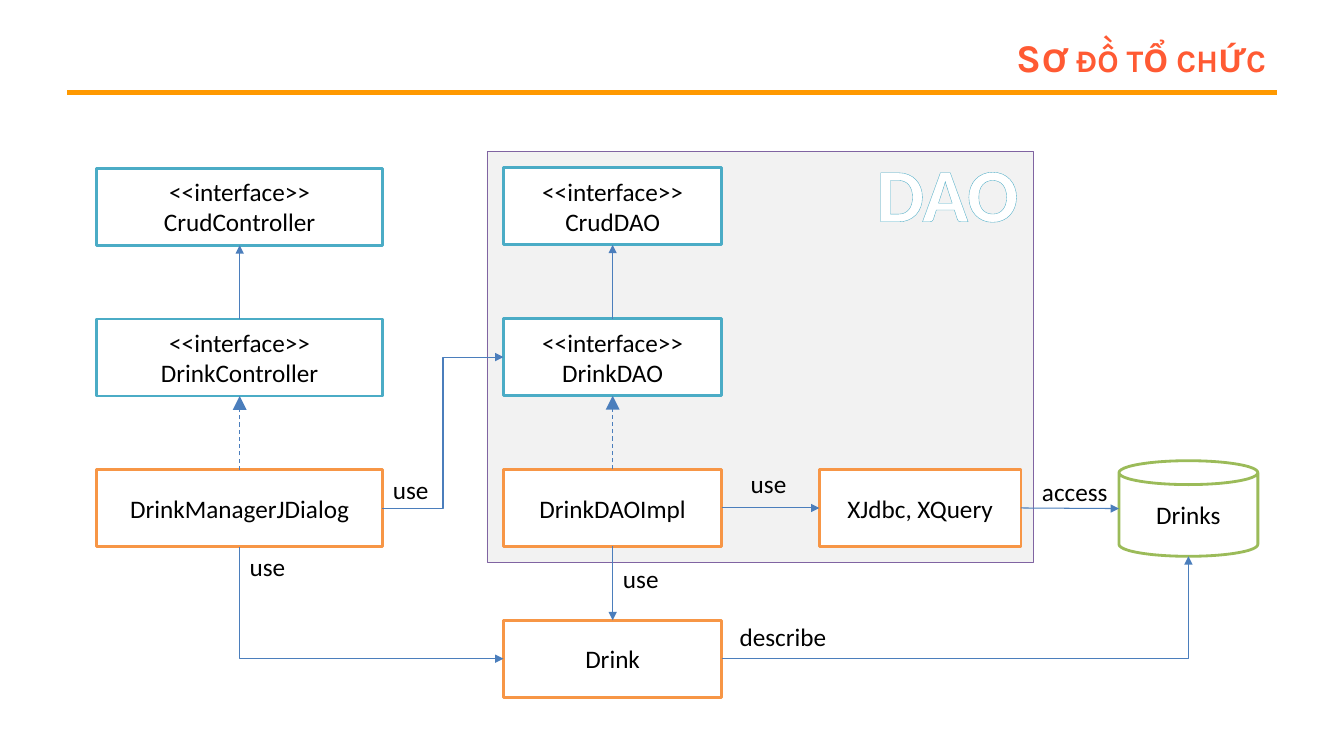
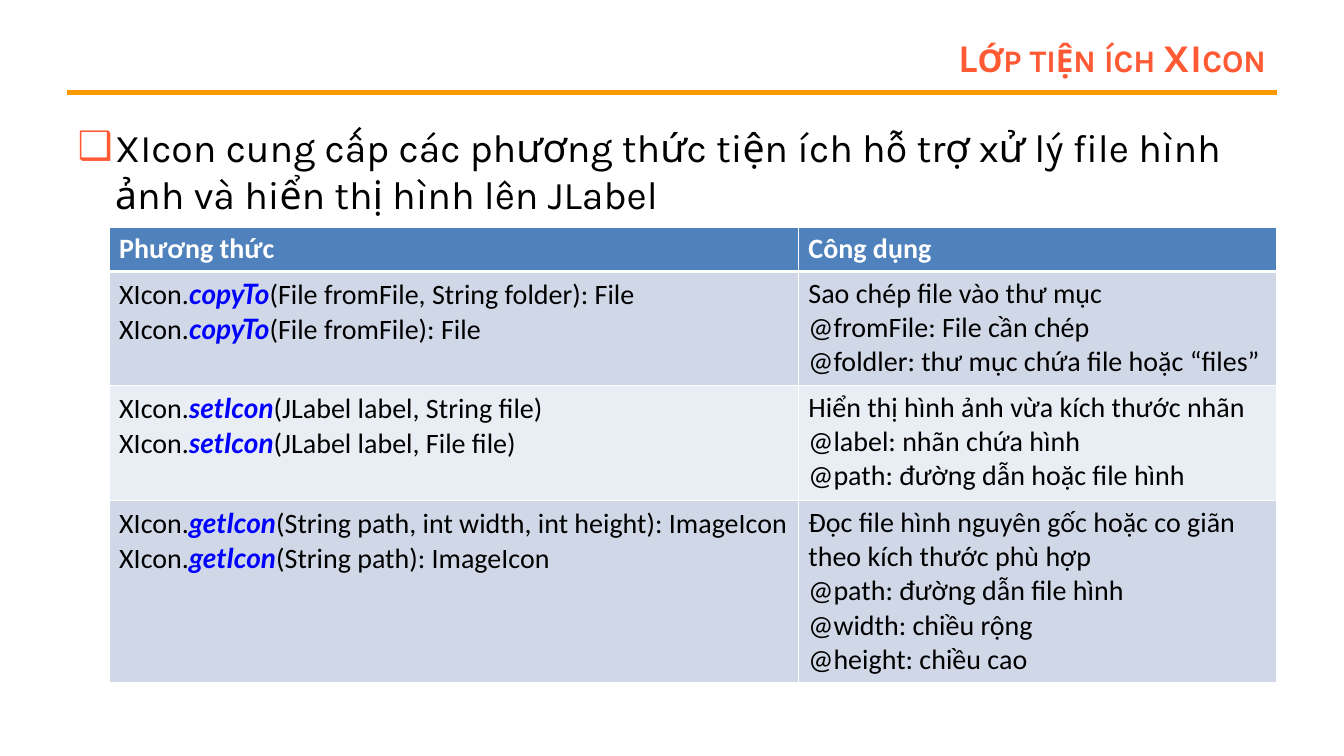
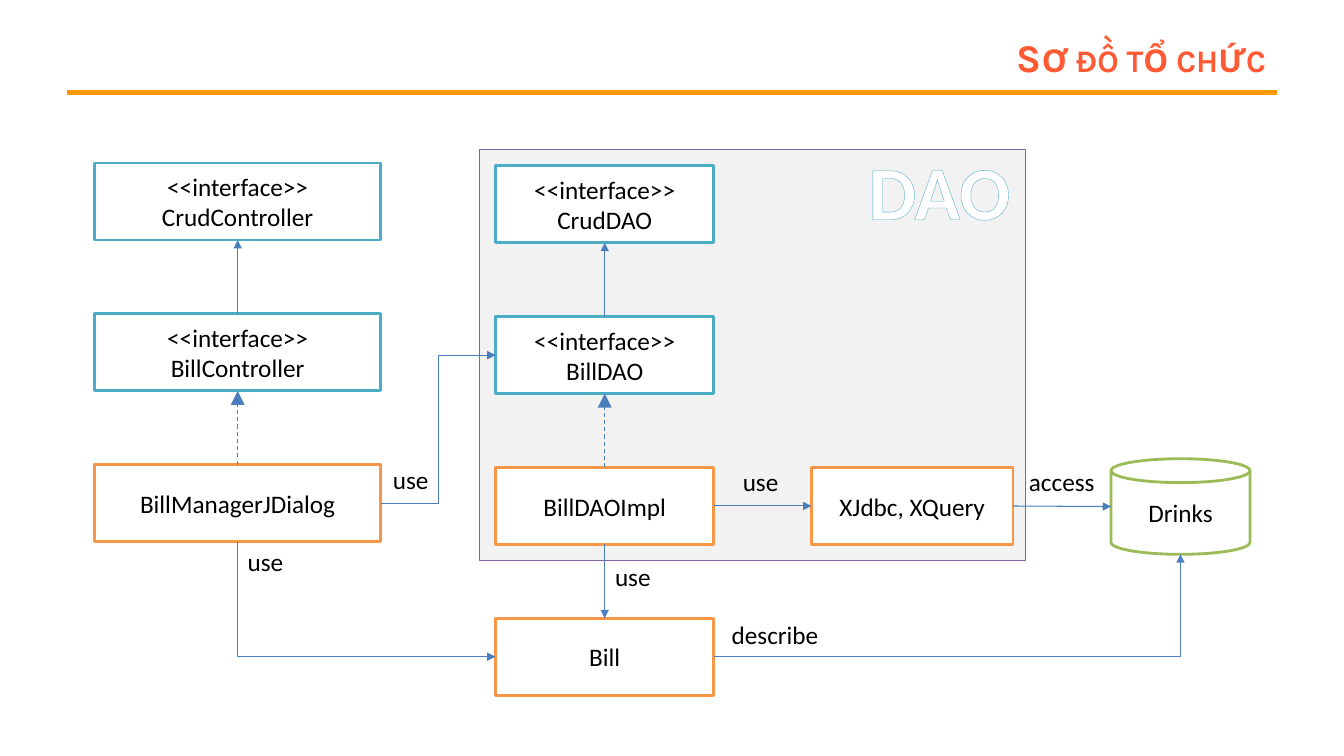
from lxml.etree import SubElement
from pptx import Presentation
from pptx.dml.color import RGBColor
from pptx.enum.dml import MSO_LINE
from pptx.enum.shapes import MSO_CONNECTOR, MSO_SHAPE
from pptx.enum.text import MSO_ANCHOR, MSO_AUTO_SIZE, PP_ALIGN
from pptx.oxml.ns import qn
from pptx.util import Cm, Pt

# Shared colours and text formats
ORANGE, TEAL, GREEN, BLUE = "F79646", "4BACC6", "9BBB59", "4B7EBC"
CORAL, GOLD, WHITE = "FF5A33", "FF9900", "FFFFFF"
TITLE = {"name": "Karla", "size": Pt(28), "bold": True, "color": CORAL}
BODY = {"name": "Karla", "size": Pt(28), "color": "000000"}
LABEL = {"name": "Calibri", "size": Pt(18), "color": "000000"}
BIG = {"name": "Calibri", "size": Pt(54), "bold": True, "color": WHITE}
HEADING = {"name": "Calibri", "size": Pt(20), "bold": True, "color": WHITE}
CELL = {"name": "Calibri", "size": Pt(20), "bold": False, "color": "000000"}
METHOD = {"name": "Lato", "size": Pt(20), "bold": True, "italic": True, "color": "0000FF"}

# Connection sites of a rectangle
TOP, LEFT, BOTTOM, RIGHT = range(4)

# Diagram grid, in centimetres
ROW_STEP, BOX_HEIGHT, INSET = 3.8, 1.94, 0.42
CONTROLLER_WIDTH, DAO_WIDTH, HELPER_WIDTH = 7.2, 5.5, 5.08


def rgb(value):
    return RGBColor.from_string(value)


def style(font, formats):
    for name, value in formats.items():
        if name == "color":
            font.color.rgb = rgb(value)
        else:
            setattr(font, name, value)


def write(frame, lines, formats, align=PP_ALIGN.LEFT):
    """Each line is a string or a list of (text, formats) spans."""
    for index, line in enumerate(lines):
        para = frame.add_paragraph() if index else frame.paragraphs[0]
        para.alignment = align
        for text, span_formats in [(line, formats)] if isinstance(line, str) else line:
            span = para.add_run()
            span.text = text
            style(span.font, span_formats)


def place(shape, left, top, width, height):
    values = {"left": left, "top": top, "width": width, "height": height}
    for name, value in values.items():
        setattr(shape, name, Cm(value))


def solid_line(parent, tag, color, points):
    line = SubElement(parent, qn(tag), w=str(Pt(points)))
    fill = SubElement(line, qn("a:solidFill"))
    SubElement(fill, qn("a:srgbClr"), val=color)
    return line


# Parts of a diagram
def add_box(page, left, top, width, height, color, lines=(), kind=MSO_SHAPE.RECTANGLE,
            fill=WHITE, points=2):
    box = page.shapes.add_shape(kind, Cm(left), Cm(top), Cm(width), Cm(height))
    box.shadow.inherit = False
    box.fill.solid()
    box.fill.fore_color.rgb = rgb(fill)
    box.line.color.rgb = rgb(color)
    box.line.width = Pt(points)
    box.text_frame.vertical_anchor = MSO_ANCHOR.MIDDLE
    write(box.text_frame, lines, LABEL, PP_ALIGN.CENTER)
    return box


def add_label(page, text, left, top, width=1.42, height=1.02, formats=LABEL):
    label = page.shapes.add_textbox(Cm(left), Cm(top), Cm(width), Cm(height))
    label.text_frame.word_wrap = False
    label.text_frame.auto_size = MSO_AUTO_SIZE.SHAPE_TO_FIT_TEXT
    write(label.text_frame, [text], formats)
    return label


def add_line(page, color, points, kind=MSO_CONNECTOR.STRAIGHT, ends=(0, 0, 0, 0)):
    line = page.shapes.add_connector(kind, *(Cm(value) for value in ends))
    line.line.color.rgb = rgb(color)
    line.line.width = Pt(points)
    SubElement(line.element.spPr, qn("a:effectLst"))
    return line


def join(page, start, start_site, end, end_site, bends=0, dashed=False, arrow="a:tailEnd"):
    kind = MSO_CONNECTOR.ELBOW if bends else MSO_CONNECTOR.STRAIGHT
    line = add_line(page, BLUE, 0.75, kind)
    line.begin_connect(start, start_site)
    line.end_connect(end, end_site)
    properties = line.element.spPr
    if bends == 1:
        properties.find(qn("a:prstGeom")).set("prst", "bentConnector2")
    if end.auto_shape_type == MSO_SHAPE.CAN:
        # A can has one extra site on its lid, so its numbers are one higher
        line.element.find(".//" + qn("a:endCxn")).set("idx", str(end_site + 1))
    if dashed:
        line.line.dash_style = MSO_LINE.DASH
    size = "lg" if dashed else "med"
    SubElement(properties.get_or_add_ln(), qn(arrow), type="triangle", w=size, len=size)


def add_stack(page, left, top, width, interfaces, worker):
    """Two interfaces over the class that implements them."""
    texts = [["<<interface>>", name] for name in interfaces] + [[worker]]
    boxes = [add_box(page, left, top + row * ROW_STEP, width, BOX_HEIGHT, color, lines)
             for row, (lines, color) in enumerate(zip(texts, (TEAL, TEAL, ORANGE)))]
    for row in (1, 2):
        join(page, boxes[row], TOP, boxes[row - 1], BOTTOM, dashed=row == 2)
    return boxes


def add_diagram(page, entity, controllers, dao, use_spot, access_spot):
    """controllers and dao are the corners of the two regions."""
    left, top = dao
    add_box(page, left, top, 13.77, 10.36, "8064A2", fill="F2F2F2", points=0.25)

    # Controllers and data access classes
    manager = add_stack(page, *controllers, CONTROLLER_WIDTH,
                        ["CrudController", f"{entity}Controller"], f"{entity}ManagerJDialog")[-1]
    inner_left, inner_top = left + INSET, top + INSET
    _, entity_dao, worker = add_stack(page, inner_left, inner_top, DAO_WIDTH,
                                      ["CrudDAO", f"{entity}DAO"], f"{entity}DAOImpl")

    # Entity, helpers and database
    model = add_box(page, inner_left, inner_top + 3 * ROW_STEP, DAO_WIDTH, BOX_HEIGHT,
                    ORANGE, [entity])
    helper = add_box(page, left + 8.38, inner_top + 2 * ROW_STEP, HELPER_WIDTH, BOX_HEIGHT,
                     ORANGE, ["XJdbc, XQuery"])
    database = add_box(page, left + 15.93, top + 7.8, 3.5, 2.41, GREEN, ["Drinks"],
                       MSO_SHAPE.CAN)

    # Relations
    join(page, worker, RIGHT, helper, LEFT)
    join(page, helper, RIGHT, database, LEFT)
    join(page, worker, BOTTOM, model, TOP)
    join(page, model, RIGHT, database, BOTTOM, bends=1)
    join(page, model, LEFT, manager, BOTTOM, bends=1, arrow="a:headEnd")
    join(page, manager, RIGHT, entity_dao, LEFT, bends=2)

    # Names of the relations
    for (x, y), spots in ((controllers, [use_spot, (3.6, 9.53)]),
                          (dao, [(3.18, 10.26), (6.4, 7.87)])):
        for across, down in spots:
            add_label(page, "use", x + across, y + down)
    add_label(page, "describe", left + 6.12, top + 11.73, 2.72)
    add_label(page, "access", left + access_spot[0], top + access_spot[1], 2.18)

    # Outlined region name
    name = add_label(page, "DAO", left + 9.55, top - 0.25, 4.11, 2.57, BIG)
    para = name.text_frame.paragraphs[0]
    para.alignment = PP_ALIGN.CENTER
    properties = para.runs[0]._r.get_or_add_rPr()
    properties.insert(0, solid_line(properties, "a:ln", TEAL, 0.8))


# Slide with the shared title and rule
def add_page(deck, title, layout=5):
    page = deck.slides.add_slide(deck.slide_layouts[layout])
    add_line(page, GOLD, 3, ends=(1.7, 2.33, 32.18, 2.33))
    heading = page.shapes.title
    place(heading, 6.2, 0.76, 25.96, 1.35)
    frame = heading.text_frame
    frame.auto_size = MSO_AUTO_SIZE.NONE
    frame.vertical_anchor = MSO_ANCHOR.MIDDLE
    write(frame, [title], TITLE, PP_ALIGN.RIGHT)
    frame.paragraphs[0].runs[0]._r.get_or_add_rPr().set("cap", "small")
    return page


def fill_body(body, text):
    place(body, 1.7, 2.97, 30.48, 14.6)
    body.text_frame.auto_size = MSO_AUTO_SIZE.NONE
    write(body.text_frame, [text], BODY)
    properties = body.text_frame.paragraphs[0]._p.get_or_add_pPr()
    properties.set("marL", str(Cm(0.95)))
    properties.set("indent", str(-Cm(0.95)))
    color = SubElement(properties, qn("a:buClr"))
    SubElement(color, qn("a:srgbClr"), val=CORAL)
    SubElement(properties, qn("a:buChar"), char="❑")


def add_method_table(page, left, top, widths, heights, rows):
    frame = page.shapes.add_table(len(rows), len(widths), Cm(left), Cm(top),
                                  Cm(sum(widths)), Cm(sum(heights)))
    table = frame.table
    for column, width in zip(table.columns, widths):
        column.width = Cm(width)
    for index, (row, height, texts) in enumerate(zip(table.rows, heights, rows)):
        row.height = Cm(height)
        fill = ("E9EDF4" if index % 2 == 0 else "D0D8E8") if index else "4F81BD"
        for cell, lines in zip(row.cells, texts):
            properties = cell._tc.get_or_add_tcPr()
            for side in "LRTB":
                heavy = (index, side) in ((0, "B"), (1, "T"))
                solid_line(properties, f"a:ln{side}", WHITE, 3 if heavy else 1)
            cell.fill.solid()
            cell.fill.fore_color.rgb = rgb(fill)
            write(cell.text_frame, lines, CELL if index else HEADING)


def signature(method, rest):
    return [("XIcon.", CELL), (method, METHOD), (rest, CELL)]


def main():
    deck = Presentation()
    deck.slide_width, deck.slide_height = Cm(33.87), Cm(19.05)

    # Drink diagram
    page = add_page(deck, "Sơ đồ tổ chức")
    add_diagram(page, "Drink", controllers=(2.44, 4.24), dao=(12.27, 3.81),
                use_spot=(7.21, 7.59), access_spot=(13.74, 8.08))

    # Helper class
    page = add_page(deck, "Lớp tiện ích XIcon", layout=1)
    fill_body(page.placeholders[1], "XIcon cung cấp các phương thức tiện ích hỗ trợ xử lý "
              "file hình ảnh và hiển thị hình lên JLabel")
    add_method_table(page, 2.75, 5.72, [17.37, 12.06], [1.09, 2.87, 2.9, 4.6], [
        [["Phương thức"], ["Công dụng"]],
        [[signature("copyTo", "(File fromFile, String folder): File"),
          signature("copyTo", "(File fromFile): File")],
         ["Sao chép file vào thư mục", "@fromFile: File cần chép",
          "@foldler: thư mục chứa file hoặc “files”"]],
        [[signature("setIcon", "(JLabel label, String file)"),
          signature("setIcon", "(JLabel label, File file)")],
         ["Hiển thị hình ảnh vừa kích thước nhãn", "@label: nhãn chứa hình",
          "@path: đường dẫn hoặc file hình"]],
        [[signature("getIcon", "(String path, int width, int height): ImageIcon"),
          signature("getIcon", "(String path): ImageIcon")],
         ["Đọc file hình nguyên gốc hoặc co giãn theo kích thước phù hợp",
          "@path: đường dẫn file hình", "@width: chiều rộng", "@height: chiều cao"]],
    ])

    # Bill diagram
    page = add_page(deck, "Sơ đồ tổ chức")
    add_diagram(page, "Bill", controllers=(2.39, 4.11), dao=(12.07, 3.76),
                use_spot=(7.26, 7.47), access_spot=(13.61, 7.87))

    deck.save("out.pptx")


if __name__ == "__main__":
    main()
